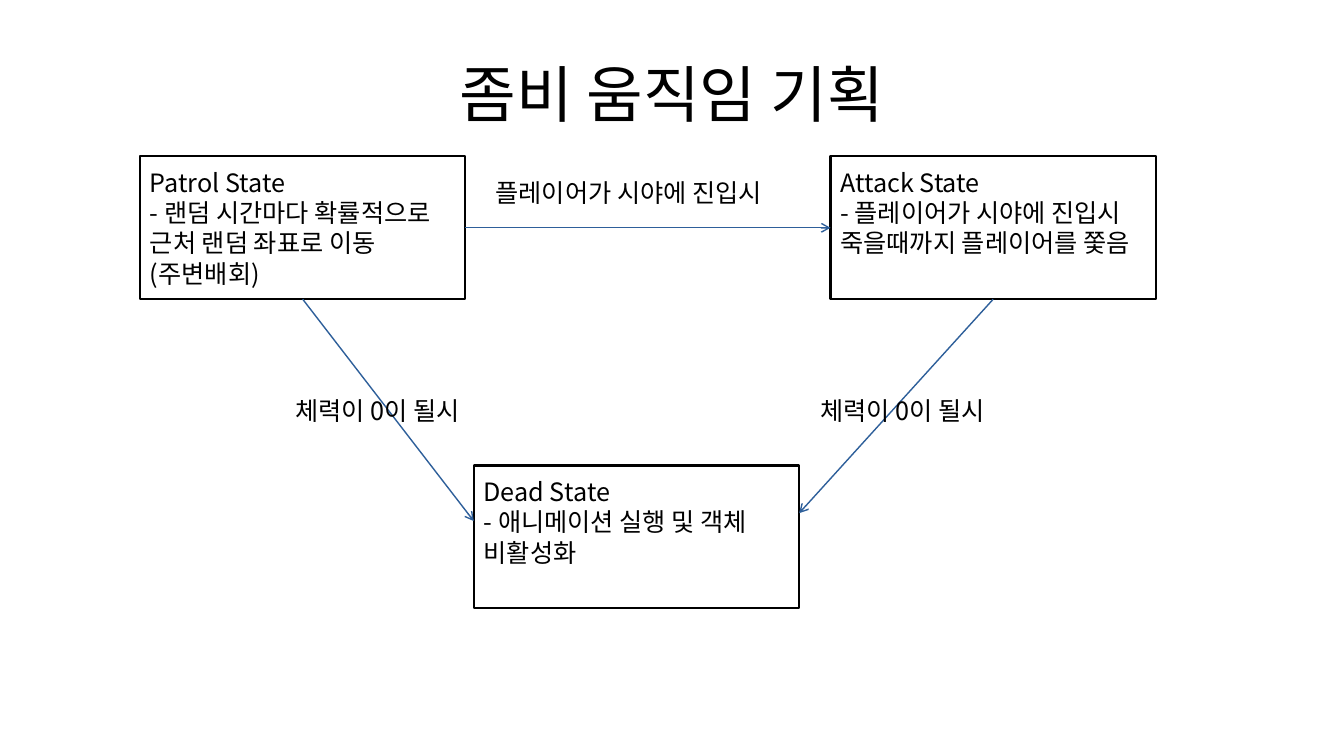
"""Build the slide with the state diagram of the zombie's movement."""
from lxml import etree
from pptx import Presentation
from pptx import util as u
from pptx.dml.color import RGBColor
from pptx.enum import shapes, text
from pptx.oxml.ns import qn

COLOURS = {"ink": "000000", "arrow": "2E5F9A"}
FONT = "Noto Sans CJK KR"
STATE_WIDTH, STATE_HEIGHT = 8.2, 3.6
TOP, RIGHT, BOTTOM, LEFT = 0, 3, 2, 1


def colour(name):
    return RGBColor.from_string(COLOURS[name])


def write(frame, *lines, size=18, align=text.PP_ALIGN.LEFT, anchor=text.MSO_ANCHOR.TOP):
    frame.word_wrap = True
    frame.vertical_anchor = anchor
    for number, line in enumerate(lines):
        paragraph = frame.paragraphs[0] if number == 0 else frame.add_paragraph()
        paragraph.text = line
        paragraph.alignment = align
        for run in paragraph.runs:
            run.font.size = u.Pt(size)
            run.font.name = FONT
            run.font.color.rgb = colour("ink")
            etree.SubElement(run.font._element, qn("a:ea"), typeface=FONT)


def add_title(slide, wording):
    title = slide.shapes.title
    title.left, title.top = u.Cm(1.69), u.Cm(0.76)
    title.width, title.height = u.Cm(30.48), u.Cm(3.18)
    write(title.text_frame, wording, size=44,
          align=text.PP_ALIGN.CENTER, anchor=text.MSO_ANCHOR.MIDDLE)


def add_label(slide, left, top, width, height, *lines):
    label = slide.shapes.add_textbox(u.Cm(left), u.Cm(top), u.Cm(width), u.Cm(height))
    write(label.text_frame, *lines)


def add_state(slide, left, top, text_height, name, action):
    add_label(slide, left, top + 0.15, 8.8, text_height, name, action)
    state = slide.shapes.add_shape(shapes.MSO_SHAPE.RECTANGLE, u.Cm(left), u.Cm(top),
                                   u.Cm(STATE_WIDTH), u.Cm(STATE_HEIGHT))
    state.shadow.inherit = False
    state.fill.background()
    state.line.color.rgb = colour("ink")
    state.line.width = u.Pt(1.5)
    return state


def add_transition(slide, source, side, end_x, end_y):
    transition = slide.shapes.add_connector(
        shapes.MSO_CONNECTOR.STRAIGHT, source.left, source.top, u.Cm(end_x), u.Cm(end_y))
    transition.begin_connect(source, side)
    transition.line.color.rgb = colour("arrow")
    transition.line.width = u.Pt(1)
    etree.SubElement(transition.line._get_or_add_ln(), qn("a:tailEnd"), type="arrow")
    etree.SubElement(transition._element.spPr, qn("a:effectLst"))
    return transition


def main():
    deck = Presentation()
    deck.slide_width, deck.slide_height = u.Cm(33.87), u.Cm(19.05)
    slide = deck.slides.add_slide(deck.slide_layouts[5])
    add_title(slide, "좀비 움직임 기획")

    patrol = add_state(slide, 3.53, 3.94, 3.28, "Patrol State",
                       "- 랜덤 시간마다 확률적으로 근처 랜덤 좌표로 이동\n(주변배회)")
    attack = add_state(slide, 20.93, 3.94, 2.51, "Attack State",
                       "- 플레이어가 시야에 진입시\n죽을때까지 플레이어를 쫓음")
    add_state(slide, 11.94, 11.73, 2.51, "Dead State",
              "- 애니메이션 실행 및 객체 비활성화")

    sighting = add_transition(slide, patrol, RIGHT, 20.93, 5.74)
    sighting.end_connect(attack, LEFT)
    add_transition(slide, patrol, BOTTOM, 11.94, 13.13)
    add_transition(slide, attack, BOTTOM, 20.14, 12.93)

    add_label(slide, 12.24, 4.34, 8.2, 1.02, "플레이어가 시야에 진입시")
    for left in (7.19, 20.42):
        add_label(slide, left, 9.83, 5.18, 1.02, "체력이 0이 될시")
    deck.save("out.pptx")


if __name__ == "__main__":
    main()
